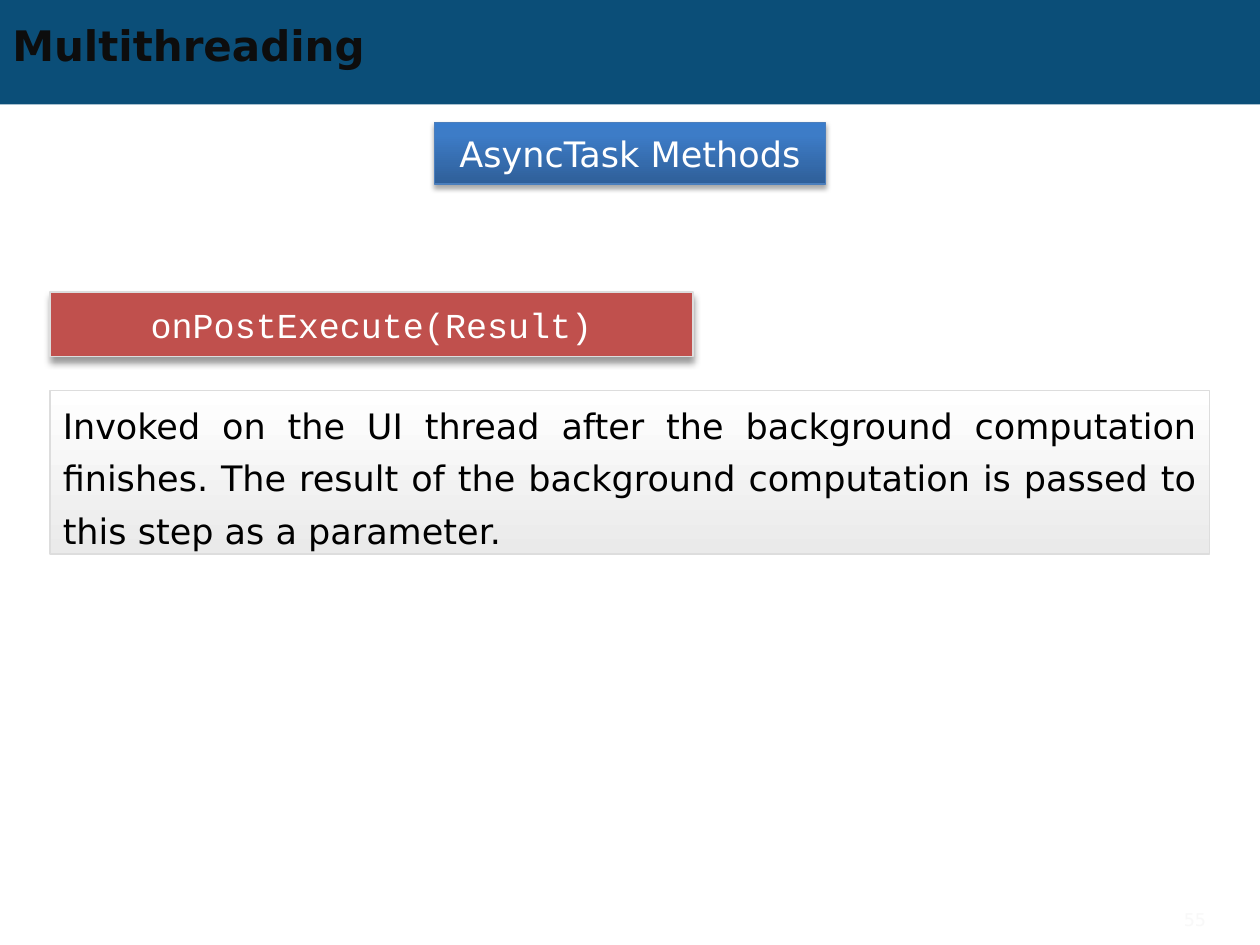
from lxml.etree import SubElement
from pptx import Presentation
from pptx.dml.color import RGBColor
from pptx.enum.shapes import MSO_SHAPE as Shape
from pptx.enum.text import MSO_ANCHOR as Anchor, PP_ALIGN as Align
from pptx.oxml.ns import qn
from pptx.util import Inches, Pt


def color(value):
    return RGBColor.from_string(value)


def add_color(parent, value, alpha=None):
    tint = SubElement(parent, qn("a:srgbClr"), val=value)
    if alpha is not None:
        SubElement(tint, qn("a:alpha"), val=str(alpha * 1000))


class SlideBuilder:
    """Holds the deck style and adds elements to the current page."""

    font = "DejaVu Sans"
    body_size = 20

    def __init__(self, deck):
        self.page = deck.slides.add_slide(deck.slide_layouts[6])

    def set_text(self, box, text, ink, size=body_size, font=font, bold=False,
                 align=Align.LEFT, spacing=None):
        frame = box.text_frame
        frame.word_wrap = True
        frame.vertical_anchor = Anchor.MIDDLE
        frame.text = text
        para = frame.paragraphs[0]
        para.alignment = align
        if spacing:
            para.line_spacing = Pt(spacing)
        span = para.runs[0].font
        span.name, span.size, span.bold = font, Pt(size), bold
        span.color.rgb = color(ink)

    def label(self, place, text, ink, **style):
        box = self.page.shapes.add_textbox(*map(Inches, place))
        self.set_text(box, text, ink, **style)

    def panel(self, place, fill=None, line=None, weight=1):
        box = self.page.shapes.add_shape(Shape.RECTANGLE, *map(Inches, place))
        box.shadow.inherit = False
        if fill:
            box.fill.solid()
            box.fill.fore_color.rgb = color(fill)
        if line:
            box.line.color.rgb = color(line)
            box.line.width = Pt(weight)
        else:
            box.line.fill.background()
        return box

    def gradient(self, box, stops, angle):
        box.fill.gradient()
        box.fill.gradient_angle = angle
        stop_list = box.element.spPr.find(".//" + qn("a:gsLst"))
        for stop in list(stop_list):
            stop_list.remove(stop)
        for position, value in stops:
            stop = SubElement(stop_list, qn("a:gs"), pos=str(position * 1000))
            add_color(stop, value)

    def shadow(self, box, alpha, blur, distance):
        effects = box.element.spPr.find(qn("a:effectLst"))
        outer = SubElement(effects, qn("a:outerShdw"), blurRad=str(Pt(blur)),
                           dist=str(Pt(distance)), dir="5400000", rotWithShape="0")
        add_color(outer, "000000", alpha)


def main():
    deck = Presentation()
    deck.slide_width, deck.slide_height = Inches(10), Inches(7.5)
    slide = SlideBuilder(deck)

    slide.panel((0, 0, 10, 0.83), fill="0B4E78")
    slide.label((0, 0.14, 9, 0.43), "Multithreading", "0D0D0D", size=24, bold=True)

    heading = slide.panel((3.45, 0.97, 3.1, 0.49), line="4B7EBC", weight=0.75)
    slide.gradient(heading, [(0, "2F5F99"), (80, "3D7CC7"), (100, "3A7CCB")], 90)
    slide.shadow(heading, 35, 3.1, 1.8)
    slide.set_text(heading, "AsyncTask Methods", "FFFFFF", align=Align.CENTER)

    method = slide.panel((0.4, 2.32, 5.1, 0.51), fill="C0504D", line="DDDDDD")
    slide.shadow(method, 40, 4, 3)
    slide.set_text(method, "onPostExecute(Result)", "FFFFFF", font="Courier New",
                   align=Align.CENTER)

    description = slide.panel((0.4, 3.1, 9.2, 1.3), line="DDDDDD")
    slide.gradient(description, [(0, "FFFFFF"), (100, "EAEAEA")], 270)
    slide.set_text(
        description,
        "Invoked on the UI thread after the background computation finishes. "
        "The result of the background computation is passed to this step as a parameter.",
        "000000", align=Align.JUSTIFY, spacing=30)

    slide.label((8.67, 7.15, 1, 0.3), "55", "F8F8F8", size=10, align=Align.RIGHT)
    deck.save("out.pptx")


if __name__ == "__main__":
    main()
